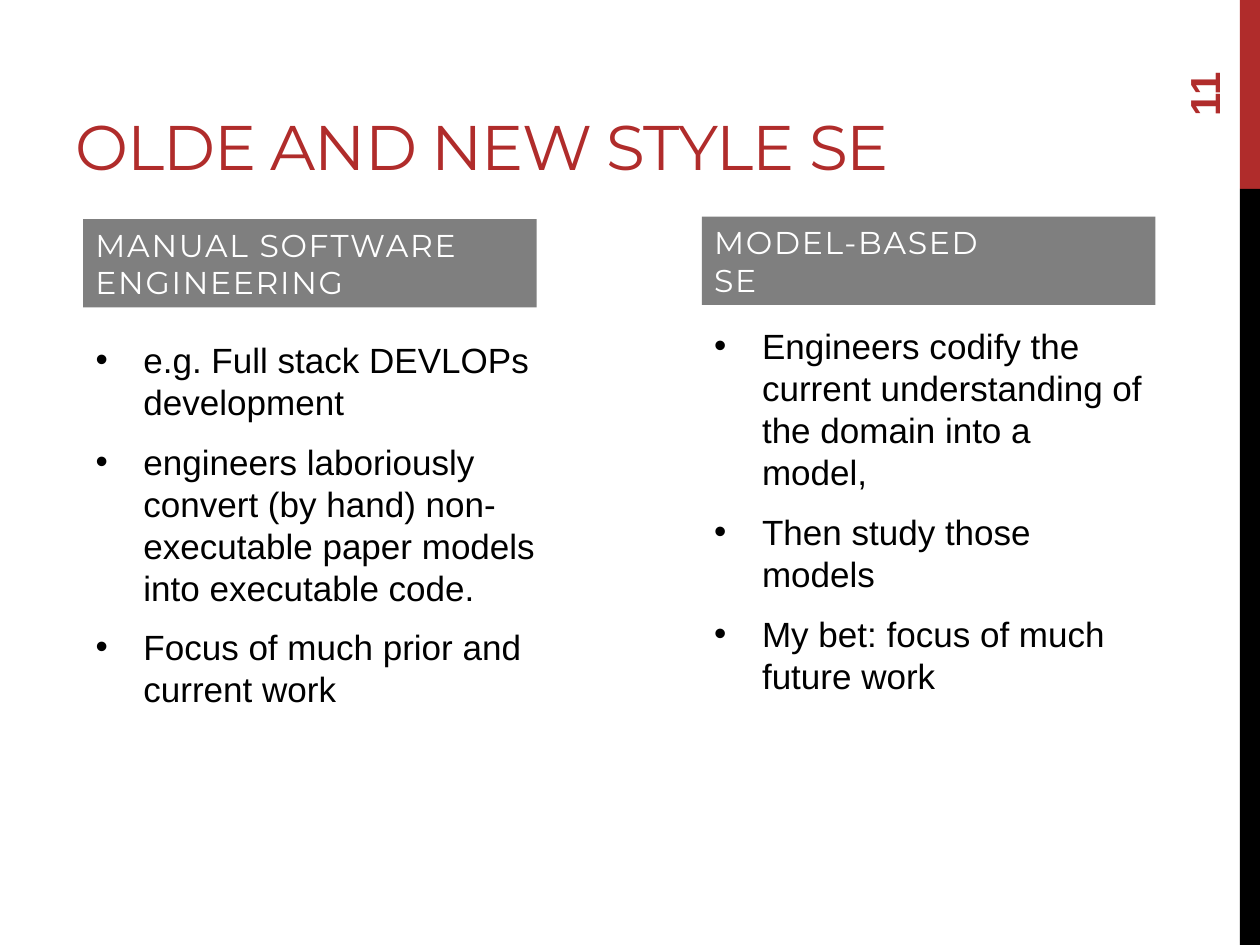
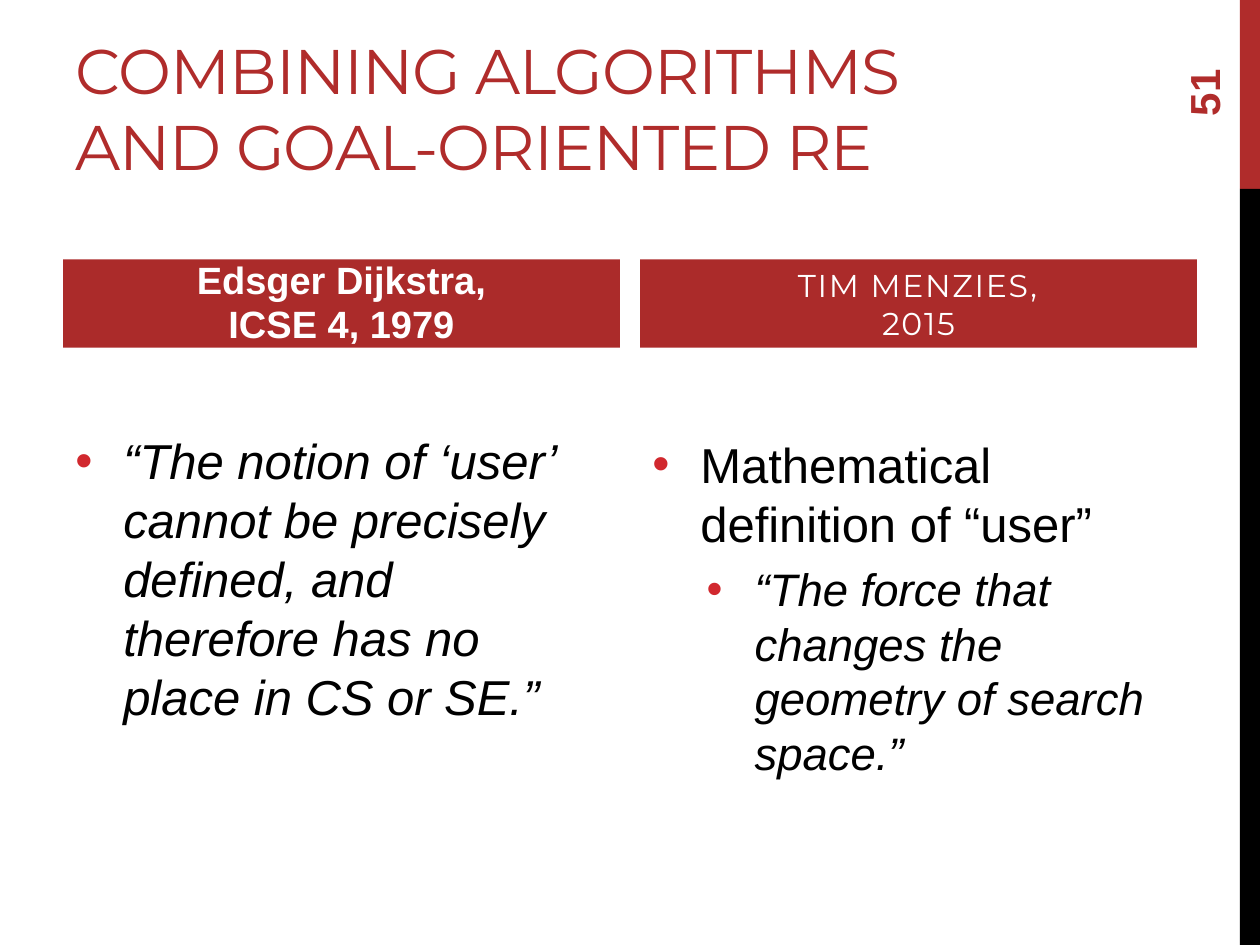
from lxml.etree import SubElement
from pptx import Presentation
from pptx.dml.color import RGBColor
from pptx.enum.shapes import MSO_SHAPE as Shape
from pptx.enum.text import MSO_ANCHOR as Anchor, PP_ALIGN as Align
from pptx.oxml.ns import qn
from pptx.util import Inches, Pt

COLORS = {"red": "B02C2B", "band_red": "AB2B2A", "bullet_red": "D1282E",
          "gray": "7F7F7F", "black": "000000", "white": "FFFFFF"}
BODY_FONT, HEAD_FONT = "Arial", "Montserrat"
HANG = 0.38
BAND_HEIGHT = 0.7


def rgb(name):
    """Return a palette colour."""
    return RGBColor.from_string(COLORS[name])


def add_rect(page, box, color):
    """Add a plain filled rectangle."""
    rect = page.shapes.add_shape(Shape.RECTANGLE, *map(Inches, box))
    rect.shadow.inherit = False
    rect.fill.solid()
    rect.fill.fore_color.rgb = rgb(color)
    rect.line.fill.background()
    return rect


def set_frame(shape, anchor, top=0.05, right=0.1):
    """Prepare the text frame of a shape and return it."""
    frame = shape.text_frame
    frame.word_wrap = True
    frame.vertical_anchor = anchor
    frame.margin_top, frame.margin_right = Inches(top), Inches(right)
    return frame


def add_text(para, text, size, color="black", font=BODY_FONT, bold=False, italic=False, tracking=0):
    """Add styled runs to a paragraph, one for each line of text."""
    for index, line in enumerate(text.split("\n")):
        if index:
            para.add_line_break()
        span = para.add_run()
        span.text = line
        span.font.name, span.font.size = font, Pt(size)
        span.font.bold, span.font.italic = bold, italic
        span.font.color.rgb = rgb(color)
        if tracking:
            span._r.get_or_add_rPr().set("spc", str(tracking))


def add_bullet(para, color, level):
    """Give a paragraph a hanging bullet."""
    props = para._p.get_or_add_pPr()
    props.set("marL", str(Inches(HANG + 0.43 * level)))
    props.set("indent", str(-Inches(HANG)))
    SubElement(SubElement(props, qn("a:buClr")), qn("a:srgbClr")).set("val", COLORS[color])
    SubElement(props, qn("a:buFont")).set("typeface", BODY_FONT)
    SubElement(props, qn("a:buChar")).set("char", "•")


def add_page(deck, title, number):
    """Add a page with its side bands, title and turned page number."""
    page = deck.slides.add_slide(deck.slide_layouts[6])
    add_rect(page, (9.84, 0, 0.16, 1.5), "red")
    add_rect(page, (9.84, 1.5, 0.16, 6), "black")
    title_box = page.shapes.add_textbox(*map(Inches, (0.5, 0, 8.22, 1.5)))
    frame = set_frame(title_box, Anchor.BOTTOM)
    add_text(frame.paragraphs[0], title, 36, "red", HEAD_FONT, tracking=-60)
    number_box = page.shapes.add_textbox(*map(Inches, (8.83, 0.1, 1.44, 0.4)))
    number_box.rotation = 270
    frame = set_frame(number_box, Anchor.MIDDLE)
    add_text(frame.paragraphs[0], number, 24, "red", bold=True)
    return page


def add_heading(page, left, top, width, text, color, anchor, align, plain_bold=False):
    """Add the coloured heading band of a column."""
    band = add_rect(page, (left, top, width, BAND_HEIGHT), color)
    para = set_frame(band, anchor).paragraphs[0]
    para.alignment = align
    if plain_bold:
        para.line_spacing = 0.95
        add_text(para, text, 21.7, "white", bold=True)
    else:
        add_text(para, text, 18, "white", HEAD_FONT, tracking=100)


def add_list(page, box, items, bullet_color, after, top=0.05, right=0.1):
    """Add bulleted items given as (text, size, level, italic)."""
    list_box = page.shapes.add_textbox(*map(Inches, box))
    frame = set_frame(list_box, Anchor.TOP, top, right)
    for index, (text, size, level, italic) in enumerate(items):
        para = frame.add_paragraph() if index else frame.paragraphs[0]
        para.level = level
        para.space_before = Pt(size * 0.2 if index else 0)
        para.space_after = Pt(after)
        add_bullet(para, bullet_color, level)
        add_text(para, text, size, italic=italic)


def build_styles_page(deck):
    """Build the comparison of manual and model-based engineering."""
    page = add_page(deck, "OLDE AND NEW STYLE SE", "11")
    columns = [
        (0.66, 1.74, "MANUAL SOFTWARE ENGINEERING", 2.64, 4.19, 0.25,
         ["e.g. Full stack DEVLOPs development",
          "engineers laboriously convert (by hand) non-executable paper models into executable code.",
          "Focus of much prior and current work"]),
        (5.57, 1.72, "MODEL-BASED\nSE", 2.53, 3.6, 0.1,
         ["Engineers codify the current understanding of the domain into a model,",
          "Then study those models",
          "My bet: focus of much future work"]),
    ]
    for left, band_top, heading, list_top, list_width, right, points in columns:
        add_heading(page, left, band_top, 3.6, heading, "gray", Anchor.BOTTOM, Align.LEFT)
        add_list(page, (left, list_top, list_width, 4.2),
                 [(point, 20, 0, False) for point in points], "black", 6, right=right)


def build_quotes_page(deck):
    """Build the two views of the user."""
    page = add_page(deck, "COMBINING ALGORITHMS\nAND GOAL-ORIENTED RE", "51")
    left, right, width = 0.5, 5.08, 4.42
    for x, heading, plain_bold in [(left, "Edsger Dijkstra,\nICSE 4, 1979", True),
                                   (right, "TIM MENZIES,\n2015", False)]:
        add_heading(page, x, 2.06, width, heading, "band_red", Anchor.MIDDLE, Align.CENTER, plain_bold)
    quote = "“The notion of ‘user’ cannot be precisely defined, and therefore has no place in CS or SE.”"
    add_list(page, (left, 2.83, width, 4.32), [(quote, 28, 0, True)],
             "bullet_red", 0, top=0.59, right=0.25)
    add_list(page, (right, 3.4, width, 3.68),
             [("Mathematical definition of “user”", 28, 0, False),
              ("“The force that changes the geometry of search space.”", 26, 1, True)],
             "bullet_red", 0)


def main():
    """Build and save the deck."""
    deck = Presentation()
    deck.slide_width, deck.slide_height = Inches(10), Inches(7.5)
    build_styles_page(deck)
    build_quotes_page(deck)
    deck.save("out.pptx")


if __name__ == "__main__":
    main()
